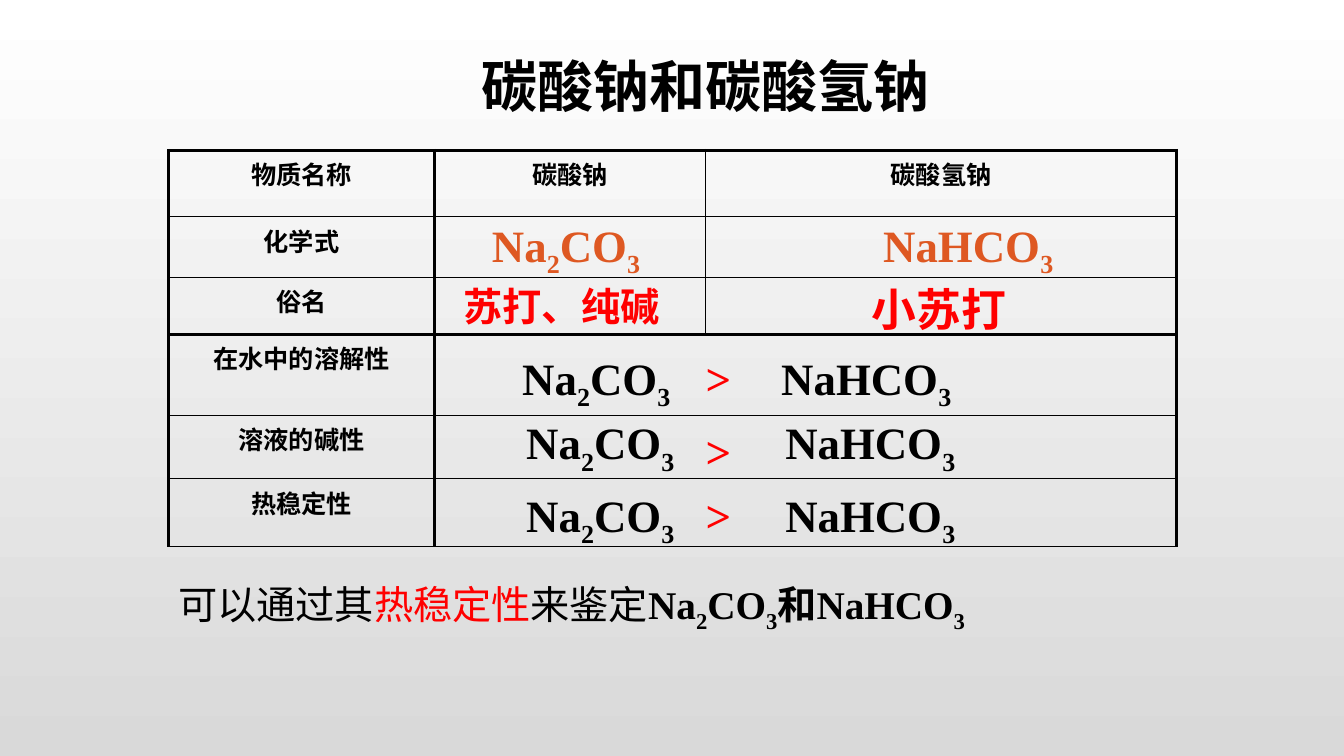
from dataclasses import dataclass
from itertools import groupby

import pptx
import pptx.dml.color
import pptx.enum.text
import pptx.oxml
import pptx.oxml.ns
import pptx.util

Inches = pptx.util.Inches
Pt = pptx.util.Pt
Align = pptx.enum.text.PP_ALIGN
Anchor = pptx.enum.text.MSO_ANCHOR

SANS, SERIF, CHINESE = "Arial", "Times New Roman", "Noto Sans CJK JP"
BLACK, RED, ORANGE = "000000", "FF0000", "DE5822"
NAMESPACE = pptx.oxml.ns.nsdecls("a")


@dataclass
class Span:
    text: str
    size: float = 32
    font: str = SERIF
    color: str = BLACK
    bold: bool = True
    underline: bool = False


@dataclass
class Label:
    left: float
    top: float
    width: float
    height: float
    spans: list[Span]
    wrap: bool = True
    anchor: Anchor = Anchor.TOP
    tabs: tuple[float, ...] = ()


@dataclass
class Comparison:
    left: float
    top: float
    sign_top: float


def rgb(color: str) -> pptx.dml.color.RGBColor:
    return pptx.dml.color.RGBColor.from_string(color)


def add_text(para, text: str, *, size: float, font: str, color: str,
             bold: bool, underline: bool = False) -> None:
    """Add text to a paragraph, setting the digits of formulas as subscripts."""
    for is_digit, letters in groupby(text, str.isdigit):
        run = para.add_run()
        run.text = "".join(letters)
        run.font.size = Pt(size)
        run.font.name = font
        run.font.bold = bold
        run.font.underline = underline
        run.font.color.rgb = rgb(color)
        properties = run.font._element
        properties.find(pptx.oxml.ns.qn("a:latin")).addnext(
            pptx.oxml.parse_xml(f'<a:ea {NAMESPACE} typeface="{CHINESE}"/>'))
        if is_digit:
            properties.set("baseline", "-25000")


def add_spans(para, spans: list[Span]) -> None:
    for span in spans:
        add_text(para, span.text, size=span.size, font=span.font, color=span.color,
                 bold=span.bold, underline=span.underline)


def add_label(shapes, label: Label) -> None:
    box = shapes.add_textbox(Inches(label.left), Inches(label.top),
                             Inches(label.width), Inches(label.height))
    frame = box.text_frame
    frame.word_wrap = label.wrap
    frame.vertical_anchor = label.anchor
    para = frame.paragraphs[0]
    if label.tabs:
        stops = "".join(f'<a:tab pos="{Inches(stop)}" algn="l"/>' for stop in label.tabs)
        para._p.get_or_add_pPr().append(
            pptx.oxml.parse_xml(f"<a:tabLst {NAMESPACE}>{stops}</a:tabLst>"))
    add_spans(para, label.spans)


def set_border(cell, side: str, width: float) -> None:
    cell._tc.get_or_add_tcPr().append(pptx.oxml.parse_xml(
        f'<a:{side} {NAMESPACE} w="{Pt(width)}"><a:solidFill>'
        f'<a:srgbClr val="{BLACK}"/></a:solidFill></a:{side}>'))


# Table: widths of the rules between columns and rows, in points
COLUMNS = [2.64, 2.69, 4.67]
ROWS = [0.66, 0.6, 0.57, 0.8, 0.63, 0.67]
COLUMN_RULES = [2.25, 3, 1, 2.25]
ROW_RULES = [2.25, 1, 1, 3, 1, 1, 1]
HEADINGS = ["物质名称", "碳酸钠", "碳酸氢钠"]
ROW_NAMES = ["化学式", "俗名", "在水中的溶解性", "溶液的碱性", "热稳定性"]
FIRST_MERGED_ROW = 3


def add_property_table(page) -> None:
    table = page.shapes.add_table(len(ROWS), len(COLUMNS), Inches(1.67), Inches(1.49),
                                  Inches(sum(COLUMNS)), Inches(sum(ROWS))).table
    table.first_row = table.horz_banding = False
    for column, width in zip(table.columns, COLUMNS):
        column.width = Inches(width)
    for row, height in zip(table.rows, ROWS):
        row.height = Inches(height)
    for row in range(FIRST_MERGED_ROW, len(ROWS)):
        table.cell(row, 1).merge(table.cell(row, 2))

    texts = {(0, column): text for column, text in enumerate(HEADINGS)}
    texts |= {(row, 0): text for row, text in enumerate(ROW_NAMES, 1)}
    for row in range(len(ROWS)):
        for column in range(len(COLUMNS)):
            cell = table.cell(row, column)
            if not cell.is_spanned:
                set_border(cell, "lnL", COLUMN_RULES[column])
            right = column + (cell.span_width if cell.is_merge_origin else 1)
            set_border(cell, "lnR", COLUMN_RULES[right])
            set_border(cell, "lnT", ROW_RULES[row])
            set_border(cell, "lnB", ROW_RULES[row + 1])
            cell.fill.background()
            if (row, column) in texts:
                para = cell.text_frame.paragraphs[0]
                para.alignment = Align.CENTER
                add_text(para, texts[row, column], size=18, font=CHINESE,
                         color=BLACK, bold=True)


LABELS = [
    # Title
    Label(4.55, 0.41, 5.17, 0.87, [Span(" 碳酸钠和碳酸氢钠", 40, SANS)], anchor=Anchor.MIDDLE),
    # Formulas and common names
    Label(4.67, 2.11, 1.81, 0.64, [Span(" Na2CO3", color=ORANGE)], wrap=False),
    Label(8.55, 2.11, 2.01, 0.64, [Span(" NaHCO3", color=ORANGE)], wrap=False),
    Label(4.5, 2.75, 2.15, 0.57, [Span("苏打、纯碱", 28, color=RED)], wrap=False),
    Label(8.55, 2.75, 1.54, 0.64, [Span("小苏打", font=CHINESE, color=RED)], wrap=False),
    # Conclusion
    Label(1.67, 5.71, 10.65, 0.57, [
        Span("可以通过其", 28, SANS, bold=False),
        Span("热稳定性", 28, SANS, RED, bold=False),
        Span("来鉴定", 28, SANS, bold=False),
        Span("Na2CO3和NaHCO3", 28),
    ]),
]

COMPARISONS = [
    Comparison(4.97, 3.43, 3.43),
    Comparison(5.01, 4.07, 4.15),
    Comparison(5.01, 4.79, 4.79),
]


def add_comparison(page, item: Comparison) -> None:
    """Two formulas with an underlined gap, and the sign that fills it."""
    shapes = page.shapes.add_group_shape().shapes
    add_label(shapes, Label(item.left, item.top, 5.59, 0.64, [
        Span(" Na2CO3\t"), Span("\t", underline=True), Span("\tNaHCO3"),
    ], tabs=(1.79, 2.46, 2.68)))
    add_label(shapes, Label(6.9, item.sign_top, 0.47, 0.64, [Span(">", color=RED)]))


def main() -> None:
    deck = pptx.Presentation()
    deck.slide_width, deck.slide_height = Inches(13.33), Inches(7.5)
    page = deck.slides.add_slide(deck.slide_layouts[6])

    # Background, shaded from top to bottom
    fill = page.background.fill
    fill.gradient()
    fill.gradient_angle = 270
    for stop, position, color in zip(fill.gradient_stops, (0, 1), ("FFFFFF", "D9D9D9")):
        stop.position = position
        stop.color.rgb = rgb(color)

    add_property_table(page)
    for label in LABELS:
        add_label(page.shapes, label)
    for item in COMPARISONS:
        add_comparison(page, item)
    deck.save("out.pptx")


if __name__ == "__main__":
    main()
